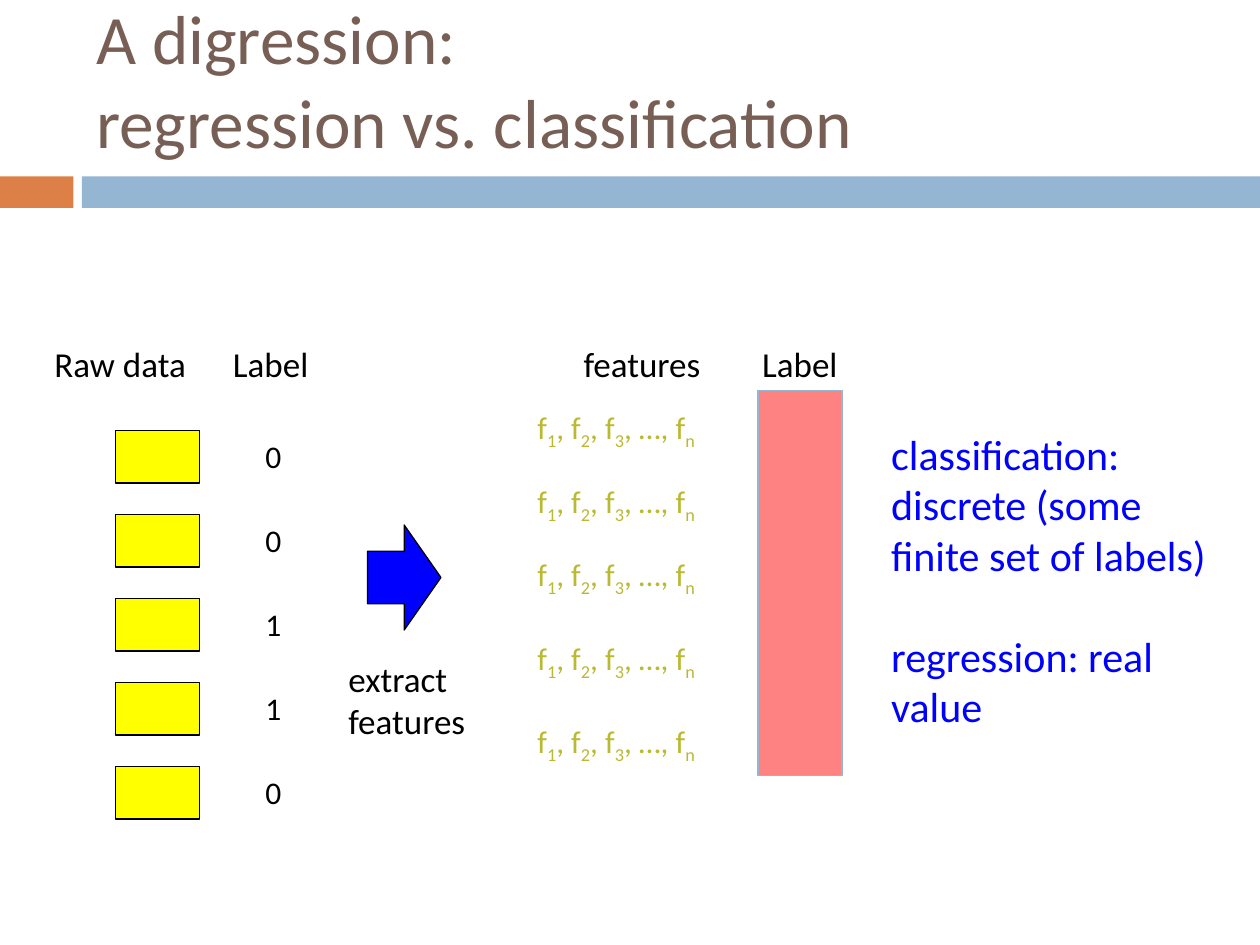
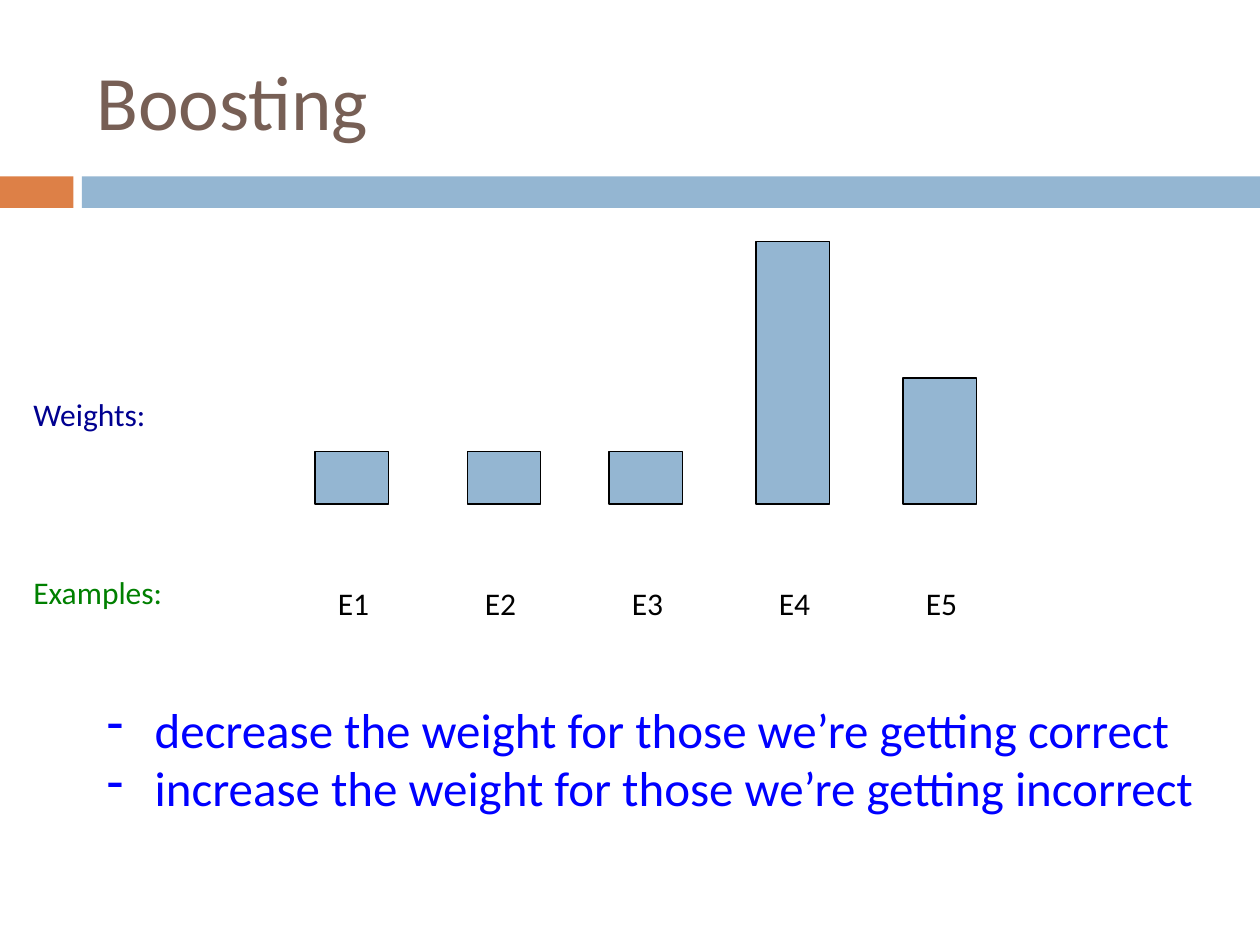
"""Build two machine learning slides: regression vs. classification, and boosting."""
from dataclasses import dataclass

from lxml import etree
from pptx import Presentation
from pptx.dml.color import RGBColor
from pptx.enum import shapes, text
from pptx.oxml.ns import qn
from pptx.util import Inches, Pt

COLUMNS, ROWS = 120, 90


@dataclass(frozen=True)
class Theme:
    """Colours, font and type sizes shared by the slides."""
    font: str = "Calibri"
    title: str = "775F55"
    accent: str = "DD8047"
    band: str = "94B6D2"
    ink: str = "000000"
    blue: str = "0000FF"
    navy: str = "000090"
    green: str = "008000"
    olive: str = "BAB932"
    yellow: str = "FFFF00"
    red: str = "FF0000"
    title_size: float = 44
    long_title_size: float = 39.6
    bullet_size: float = 28
    note_size: float = 24
    heading_size: float = 20
    label_size: float = 18
    line_width: float = 0.75


class Deck:
    """Draws themed elements on the current slide, placed by grid column and row."""

    def __init__(self, theme):
        """Open an empty presentation of 10 by 7.5 inches."""
        self.theme = theme
        self.presentation = Presentation()
        self.presentation.slide_width = Inches(10)
        self.presentation.slide_height = Inches(7.5)
        self.slide = None

    def place(self, column, row, width, height):
        """Turn a grid area into slide lengths."""
        across = self.presentation.slide_width / COLUMNS
        down = self.presentation.slide_height / ROWS
        return [round(n * unit) for n, unit in
                zip((column, row, width, height), (across, down, across, down))]

    def new_slide(self, title, size, title_row):
        """Start a slide with the two bands and a title."""
        self.slide = self.presentation.slides.add_slide(self.presentation.slide_layouts[6])
        self.box((0, 16.8, 7, 3), self.theme.accent, None)
        self.box((7.8, 16.8, 112.2, 3), self.theme.band, None)
        frame = self.label((8, title_row, 107, 13), [title], size, self.theme.title)
        frame.auto_size = text.MSO_AUTO_SIZE.NONE
        frame.vertical_anchor = text.MSO_ANCHOR.MIDDLE

    def box(self, area, fill, line, kind=shapes.MSO_SHAPE.RECTANGLE, opacity=None):
        """Draw a filled preset shape, outlined when a line colour is given."""
        shape = self.slide.shapes.add_shape(kind, *self.place(*area))
        shape.shadow.inherit = False
        shape.fill.solid()
        shape.fill.fore_color.rgb = RGBColor.from_string(fill)
        if opacity is not None:
            color = shape._element.spPr.find(qn("a:solidFill")).find(qn("a:srgbClr"))
            etree.SubElement(color, qn("a:alpha"), val=str(opacity * 1000))
        if line is None:
            shape.line.fill.background()
        else:
            shape.line.color.rgb = RGBColor.from_string(line)
            shape.line.width = Pt(self.theme.line_width)

    def label(self, area, lines, size, color, wrap=True, gap=0, bullet=None):
        """Add text with one paragraph per line and an optional gap between them."""
        frame = self.slide.shapes.add_textbox(*self.place(*area)).text_frame
        frame.word_wrap = wrap
        frame.auto_size = text.MSO_AUTO_SIZE.SHAPE_TO_FIT_TEXT
        for index, line in enumerate(lines):
            paragraph = frame.add_paragraph() if index else frame.paragraphs[0]
            if index and gap:
                paragraph.space_before = Pt(gap)
            if bullet:
                self.add_bullet(paragraph, bullet)
            self.add_runs(paragraph, line)
            paragraph.font.name = self.theme.font
            paragraph.font.size = Pt(size)
            paragraph.font.color.rgb = RGBColor.from_string(color)
        return frame

    def add_runs(self, paragraph, line):
        """Fill a paragraph from a string, or from parts that alternate with subscripts."""
        if isinstance(line, str):
            paragraph.text = line
            return
        for index, part in enumerate(line):
            run = paragraph.add_run()
            run.text = part
            if index % 2:
                run.font._element.set("baseline", "-25000")

    def add_bullet(self, paragraph, character):
        """Give a paragraph a hanging bullet."""
        properties = paragraph._p.get_or_add_pPr()
        indent = Inches(0.38)
        properties.set("marL", str(indent))
        properties.set("indent", str(-indent))
        etree.SubElement(properties, qn("a:buChar"), char=character)


def add_classification_slide(deck):
    """Show features extracted from labelled data."""
    theme = deck.theme
    deck.new_slide("A digression:\vregression vs. classification", theme.long_title_size, 1)
    headings = [("Raw data", 4, 16.7), ("Label", 21, 10.7), ("features", 54.4, 14.6),
                ("Label", 71.4, 10.7)]
    for heading, column, width in headings:
        deck.label((column, 32, width, 5.3), [heading], theme.heading_size, theme.ink, wrap=False)
    for index, digit in enumerate("00110"):
        row = 41 + 8 * index
        deck.box((11, row, 8, 5), theme.yellow, theme.ink)
        deck.label((24.1, row, 4.1, 4.8), [digit], theme.label_size, theme.ink, wrap=False)
    deck.box((35, 50, 7, 10), theme.blue, theme.ink, shapes.MSO_SHAPE.RIGHT_ARROW)
    deck.label((32, 62, 14.8, 9.2), ["extract", "features"], theme.heading_size, theme.ink,
               wrap=False)
    features = ["f", "1", ", f", "2", ", f", "3", ", …, f", "n"]
    for row in (38.3, 45.3, 52.3, 60.3, 68.2):
        deck.label((50, row, 20, 4.8), [features], theme.label_size, theme.olive, wrap=False)
    deck.box((72.2, 37.2, 8, 36.7), theme.red, theme.band, opacity=49)
    deck.label((83.7, 40.2, 35.3, 30.2),
               ["classification: discrete (some finite set of labels)", "regression: real value"],
               theme.note_size, theme.blue, gap=29)


def add_boosting_slide(deck):
    """Show example weights as bars on a common baseline."""
    theme = deck.theme
    deck.new_slide("Boosting", theme.title_size, 3)
    baseline = 48
    bars = [(30, 5), (44.5, 5), (58, 5), (72, 25), (86, 12)]
    for index, (column, height) in enumerate(bars):
        deck.box((column, baseline - height, 7, height), theme.band, theme.ink)
        deck.label((31 + 14 * index, 55, 13, 5.9), [f"E{index + 1}"], theme.label_size, theme.ink)
    deck.label((2, 54, 24, 5.9), ["Examples:"], theme.label_size, theme.green)
    deck.label((2, 37, 23, 5.9), ["Weights:"], theme.label_size, theme.navy)
    deck.label((9, 66, 108.7, 12.5),
               ["decrease the weight for those we’re getting correct",
                "increase the weight for those we’re getting incorrect"],
               theme.bullet_size, theme.blue, bullet="-")


def main():
    """Build and save the presentation."""
    deck = Deck(Theme())
    add_classification_slide(deck)
    add_boosting_slide(deck)
    deck.presentation.save("out.pptx")


if __name__ == "__main__":
    main()
